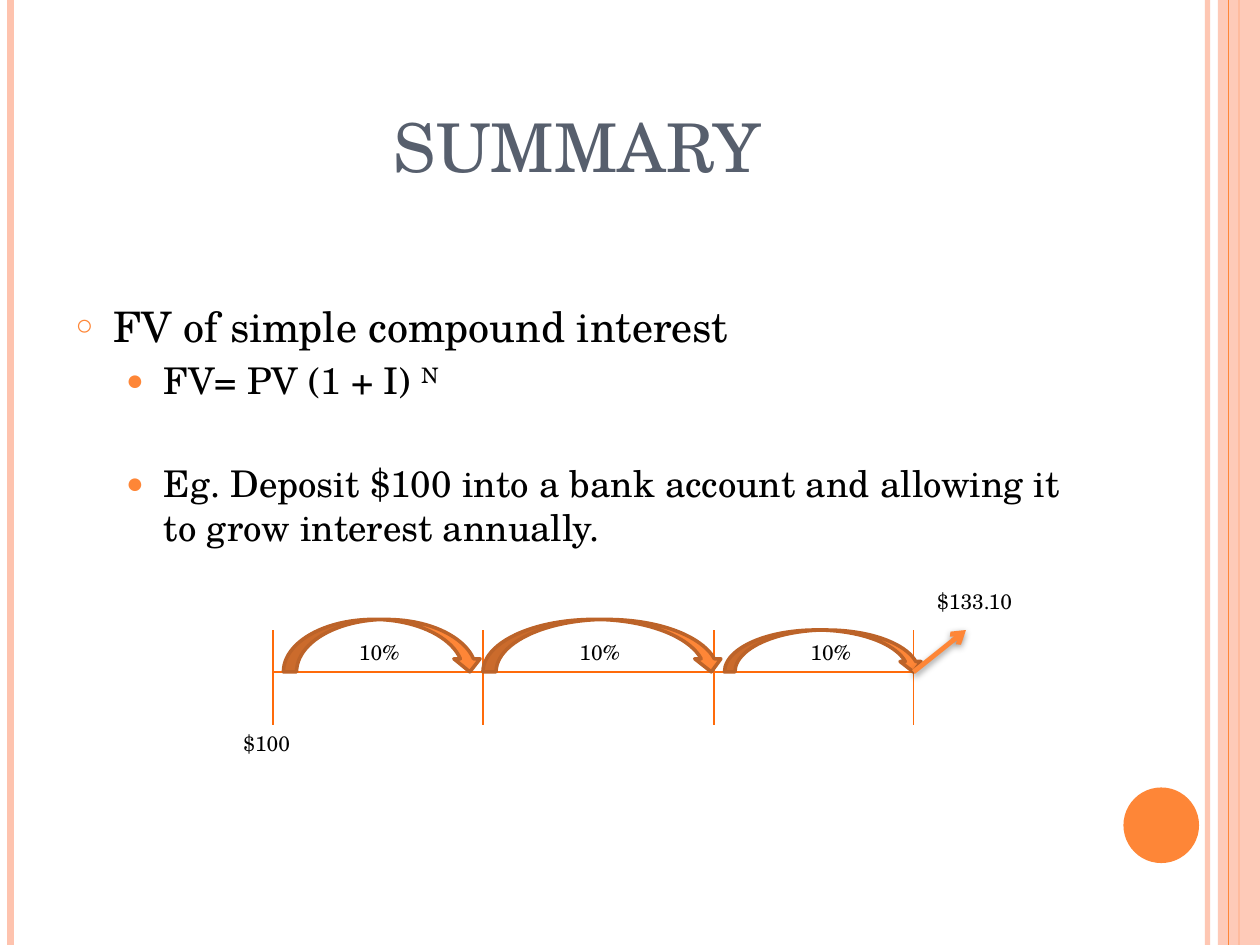
from lxml import etree
from pptx import Presentation
from pptx.dml.color import RGBColor
from pptx.enum import shapes, text
from pptx.oxml import ns
from pptx.util import Pt

FONT = "TeX Gyre Schola"
ORANGE = RGBColor(0xFE, 0x86, 0x37)
DEEP_ORANGE = RGBColor(0xFF, 0x6B, 0x0A)
BROWN = RGBColor(0xBC, 0x63, 0x29)
PINK = RGBColor(0xFE, 0xC3, 0xAE)
SLATE = RGBColor(0x57, 0x5F, 0x6D)
BLACK = RGBColor(0, 0, 0)
SLIDE_W, SLIDE_H = 720, 540


def add_xml(parent, tag, **attrs):
    return etree.SubElement(parent, ns.qn(tag), {k: str(v) for k, v in attrs.items()})


def set_alpha(fill_owner, percent):
    for clr in fill_owner.iter(ns.qn("a:srgbClr")):
        add_xml(clr, "a:alpha", val=percent * 1000)


def set_font(font, size, color):
    font.name, font.size, font.color.rgb = FONT, Pt(size), color


def add_line(parent, x1, y1, x2, y2, color, width):
    line = parent.add_connector(shapes.MSO_CONNECTOR.STRAIGHT,
                                Pt(x1), Pt(y1), Pt(x2), Pt(y2))
    line.line.color.rgb = color
    line.line.width = Pt(width)
    add_xml(line._element.spPr, "a:effectLst")
    return line


def add_filled(parent, kind, x, y, w, h, color):
    sp = parent.add_shape(kind, Pt(x), Pt(y), Pt(w), Pt(h))
    sp.shadow.inherit = False
    sp.fill.solid()
    sp.fill.fore_color.rgb = color
    sp.line.fill.background()
    return sp


def add_label(parent, x, y, w, label):
    box = parent.add_textbox(Pt(x), Pt(y), Pt(w), Pt(21.6))
    tf = box.text_frame
    tf.word_wrap = True
    tf.text = label
    set_font(tf.paragraphs[0].runs[0].font, 12, BLACK)


def place(sp, x, y, w, h):
    sp.left, sp.top, sp.width, sp.height = Pt(x), Pt(y), Pt(w), Pt(h)
    sp.text_frame.auto_size = text.MSO_AUTO_SIZE.NONE
    return sp.text_frame


def add_bullet(p, char, indent, size_percent):
    pPr = p._p.get_or_add_pPr()
    pPr.set("marL", str(Pt(indent)))
    pPr.set("indent", str(-Pt(21.6)))
    add_xml(add_xml(pPr, "a:buClr"), "a:srgbClr", val=ORANGE)
    add_xml(pPr, "a:buSzPct", val=size_percent * 1000)
    add_xml(pPr, "a:buChar", char=char)


def draw_frame(parent, w, h):
    # Vertical stripes at both edges
    inner = add_line(parent, w - 30, 0, w - 30, h, PINK, 3)
    set_alpha(inner._element.spPr, 93)
    add_line(parent, 6, 0, 6, h, PINK, 4.5)
    add_line(parent, w - 12, 0, w - 12, h, ORANGE, 1.5)
    band = add_filled(parent, shapes.MSO_SHAPE.RECTANGLE, w - 24, 0, 24, h, PINK)
    set_alpha(band._element.spPr, 87)
    add_line(parent, w - 18, 0, w - 18, h, ORANGE, 0.75)
    # Corner disc
    add_filled(parent, shapes.MSO_SHAPE.OVAL, w - 78, h - 90, 43.2, 43.2, ORANGE)


def fill_title(sp, x, y, w, h):
    tf = place(sp, x, y, w, h)
    tf.vertical_anchor = text.MSO_ANCHOR.BOTTOM
    tf.text = "summary"
    p = tf.paragraphs[0]
    p.alignment = text.PP_ALIGN.CENTER
    set_font(p.runs[0].font, 48, SLATE)
    p.runs[0]._r.get_or_add_rPr().set("cap", "small")


def fill_body(sp, x, y, w, h):
    tf = place(sp, x, y, w, h)
    # Level, space before, runs
    items = [
        (0, 0, ["FV of simple compound interest"]),
        (1, 4.2, ["FV= PV (1 + I) ", "N"]),
        (1, 33.6, ["Eg. Deposit $100 into a bank account and allowing it "
                   "to grow interest annually."]),
    ]
    styles = [("○", 21.6, 70, 24), ("●", 50.4, 80, 21)]
    for i, (level, before, parts) in enumerate(items):
        p = tf.paragraphs[0] if i == 0 else tf.add_paragraph()
        char, indent, percent, size = styles[level]
        add_bullet(p, char, indent, percent)
        p.level = level
        p.space_before = Pt(before)
        for part in parts:
            r = p.add_run()
            r.text = part
            set_font(r.font, size, BLACK)
    exponent = tf.paragraphs[1].runs[1]
    exponent._r.get_or_add_rPr().set("baseline", "30000")


def draw_timeline(parent, x, y, w, h):
    axis = y + 24
    # Axis and period ticks
    grid = parent.add_group_shape().shapes
    add_line(grid, x, axis, x + w, axis, DEEP_ORANGE, 1)
    for dx in (0, 120, 252, w):
        add_line(grid, x + dx, y, x + dx, y + h, DEEP_ORANGE, 1)
    add_label(parent, x - 24, y + h, 66, "$100")

    # Growth arcs: offset, width, height
    for dx, arc_w, arc_h in ((6, 114, 30), (120, 138, 30), (258, 114, 24)):
        arc = add_filled(parent, shapes.MSO_SHAPE.CURVED_UP_ARROW,
                         x + dx, axis - arc_h, arc_w, arc_h, ORANGE)
        arc.line.color.rgb = BROWN
        arc.line.width = Pt(2)
        arc._element.spPr.xfrm.set("flipV", "1")
    for dx in (42, 168, 300):
        add_label(parent, x + dx, y + 2, 48, "10%")

    # Arrow to the final value
    arrow = add_line(parent, x + w, axis, x + w + 30, y, ORANGE, 2.75)
    add_xml(arrow.line._get_or_add_ln(), "a:tailEnd", type="arrow")
    effects = arrow._element.spPr.find(ns.qn("a:effectLst"))
    shadow = add_xml(effects, "a:outerShdw", blurRad=Pt(4), dist=Pt(1.6),
                     dir=5400000, rotWithShape=0)
    add_xml(shadow, "a:srgbClr", val=BLACK)
    set_alpha(shadow, 42)
    add_label(parent, x + w + 6.5, y - 27.4, 83.5, "$133.10")


def main():
    prs = Presentation()
    prs.slide_width, prs.slide_height = Pt(SLIDE_W), Pt(SLIDE_H)
    s = prs.slides.add_slide(prs.slide_layouts[1])
    draw_frame(s.shapes, SLIDE_W, SLIDE_H)
    fill_title(s.shapes.title, 36, 21.6, 588, 90)
    fill_body(s.placeholders[1], 36, 168, 588, 299.5)
    draw_timeline(s.shapes, 156, 360, 366, 54)
    prs.save("out.pptx")


if __name__ == "__main__":
    main()
